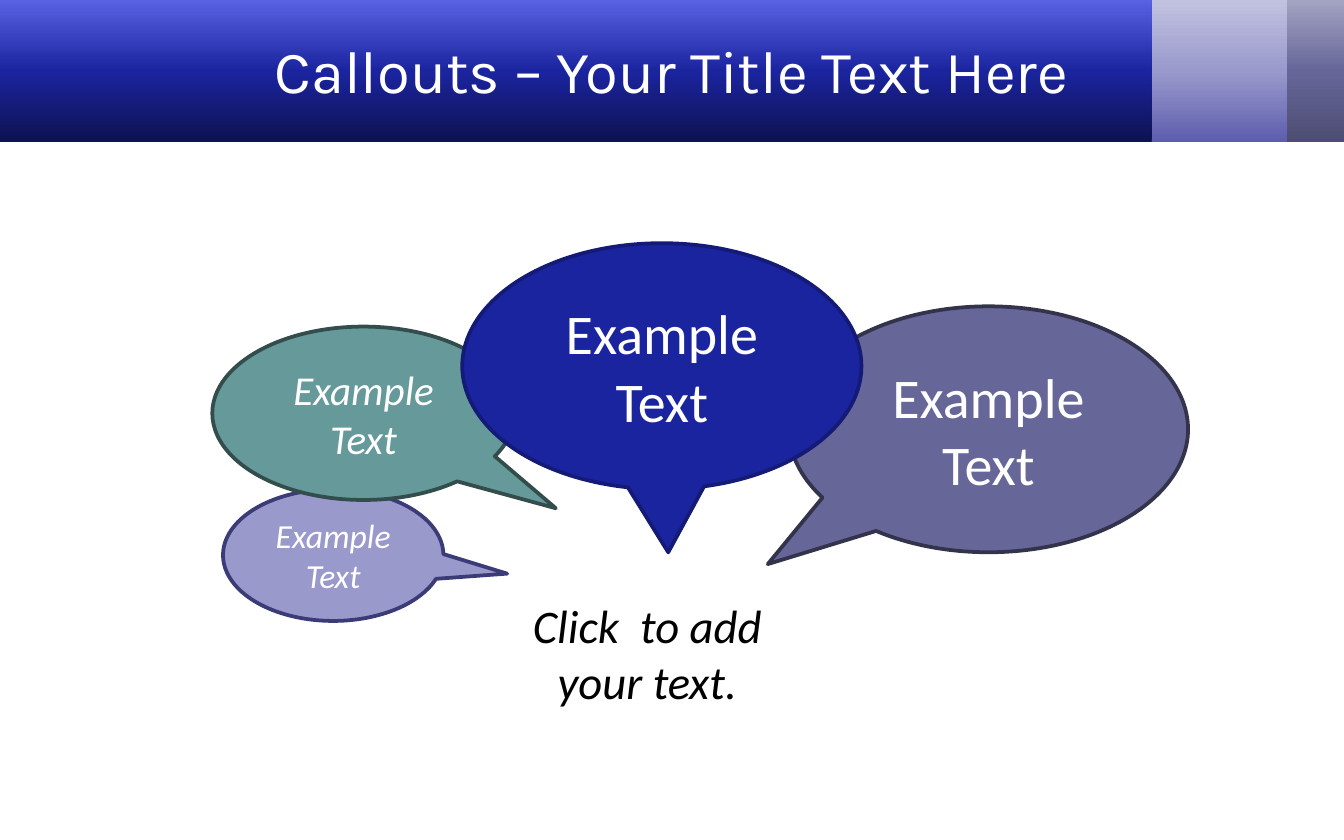
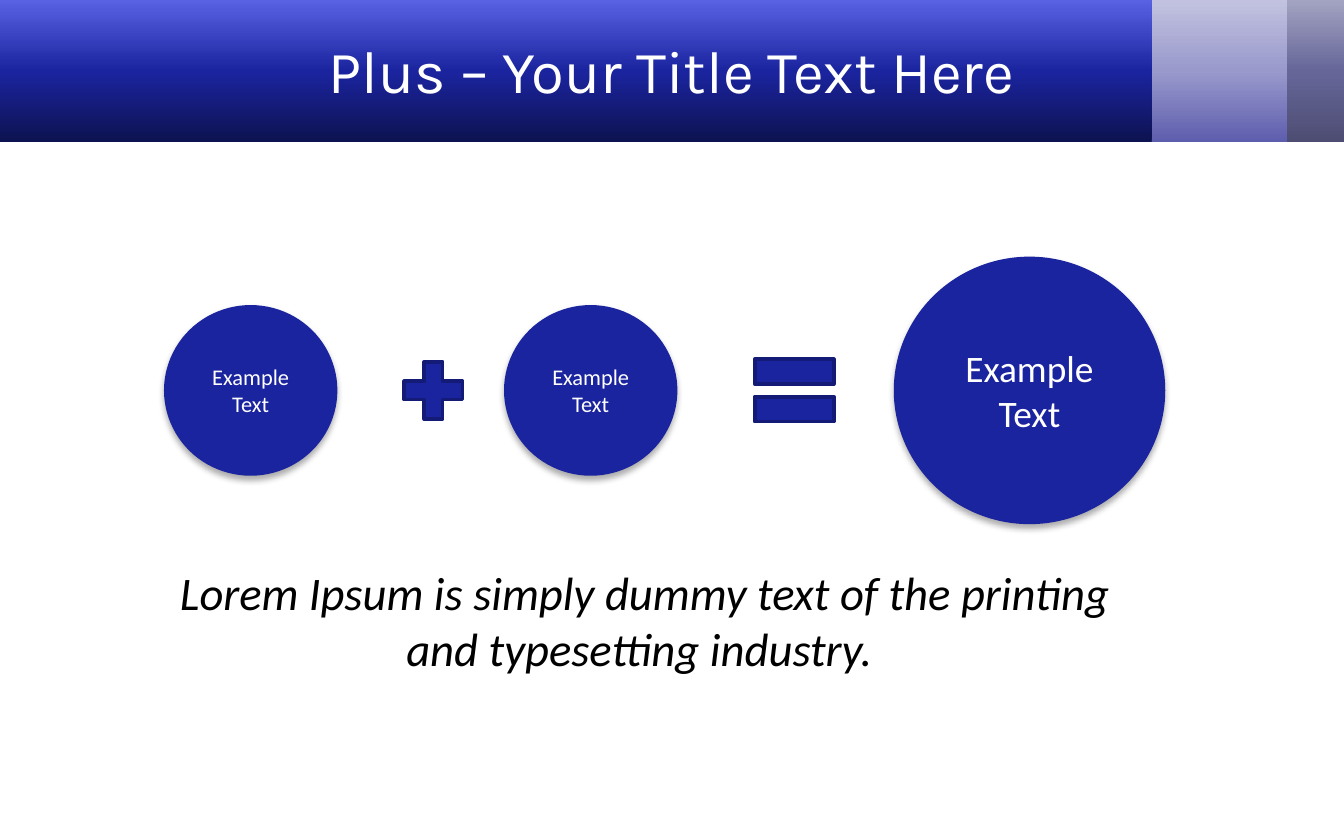
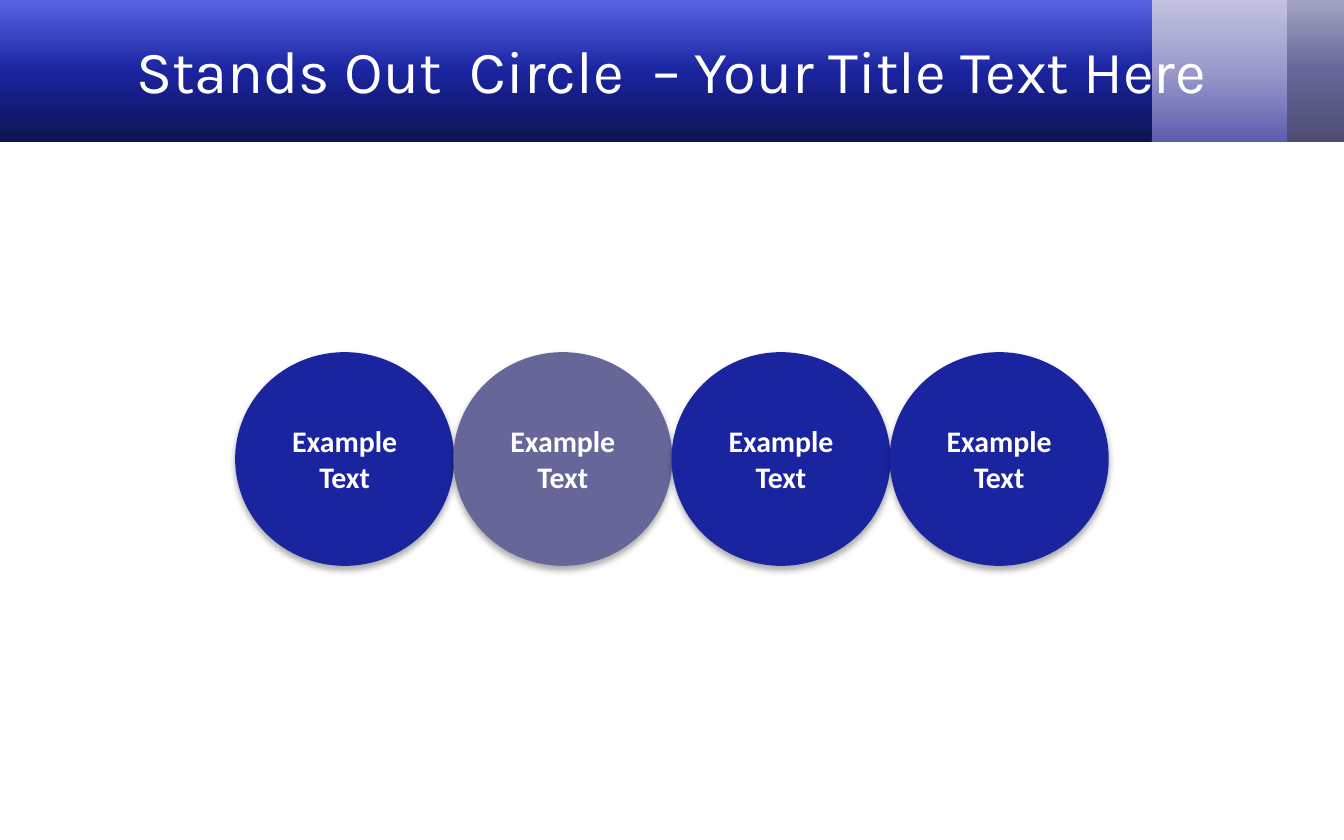
from collections import namedtuple

from pptx import Presentation
from pptx.dml.color import RGBColor
from pptx.enum.shapes import MSO_SHAPE
from pptx.enum.text import MSO_ANCHOR, MSO_AUTO_SIZE, PP_ALIGN
from pptx.oxml import parse_xml
from pptx.oxml.ns import nsdecls, qn
from pptx.util import Inches, Pt

Box = namedtuple("Box", "left top width height")

COLORS = {
    "white": "FFFFFF",
    "black": "000000",
    "blue": "1B249F",
    "blue_edge": "141B76",
    "slate": "666699",
    "slate_edge": "33334C",
    "lilac": "9999CC",
    "lilac_edge": "3B3B77",
    "teal": "669999",
    "teal_edge": "334C4C",
}
# Each band: left, width and gradient from bottom to top, back to front
HEADER_BANDS = [
    (9.43, 0.58, ("4D4D73", COLORS["slate"], "A3A3C2")),
    (8.53, 1.05, ("5D5DAE", COLORS["lilac"], "C2C2E0")),
    (0, 8.57, ("0D1250", COLORS["blue"], "5962E3")),
]
HEADER_HEIGHT = 1.06
TITLE_BOX = Box(0.5, 0.08, 9, 0.88)
TITLE_FONT, BODY_FONT = "Karla", "Calibri"
EXAMPLE = "Example Text"


def rgb(name):
    return RGBColor.from_string(COLORS[name])


def inches(box):
    return [Inches(length) for length in box]


def write(shape, text, size, color="white", font=BODY_FONT, bold=False, italic=False):
    """Put one centred paragraph into a shape."""
    frame = shape.text_frame
    frame.text = text
    frame.word_wrap = True
    paragraph = frame.paragraphs[0]
    paragraph.alignment = PP_ALIGN.CENTER
    run_font = paragraph.runs[0].font
    run_font.name, run_font.size = font, Pt(size)
    run_font.bold, run_font.italic = bold, italic
    run_font.color.rgb = rgb(color)


def add_filled(shapes, kind, box, fill, edge=None):
    shape = shapes.add_shape(kind, *inches(box))
    shape.shadow.inherit = False
    shape.fill.solid()
    shape.fill.fore_color.rgb = rgb(fill)
    if edge:
        shape.line.color.rgb = rgb(edge)
        shape.line.width = Pt(2)
    else:
        shape.line.fill.background()
    shape.text_frame.vertical_anchor = MSO_ANCHOR.MIDDLE
    return shape


def add_circle(shapes, box, size, fill="blue", bold=False):
    """Circle with a label and a soft shadow below."""
    circle = add_filled(shapes, MSO_SHAPE.OVAL, box, fill)
    write(circle, EXAMPLE, size, bold=bold)
    circle.element.spPr.find(qn("a:effectLst")).append(parse_xml(
        f'<a:outerShdw {nsdecls("a")} blurRad="{Pt(3.5)}" dist="{Pt(2.2)}" '
        f'dir="5400000" rotWithShape="0"><a:srgbClr val="{COLORS["black"]}">'
        '<a:alpha val="32000"/></a:srgbClr></a:outerShdw>'))


def add_caption(slide, box, text):
    caption = slide.shapes.add_textbox(*inches(box))
    write(caption, text, 25, color="black", italic=True)
    caption.text_frame.auto_size = MSO_AUTO_SIZE.SHAPE_TO_FIT_TEXT


def add_header_bands(slide):
    """Draw the gradient bands and hand them to the layout all slides share."""
    layout_tree = slide.slide_layout.shapes.element
    for index, (left, width, stops) in enumerate(HEADER_BANDS):
        band = slide.shapes.add_shape(
            MSO_SHAPE.RECTANGLE, *inches(Box(left, 0, width, HEADER_HEIGHT)))
        band.shadow.inherit = False
        band.line.fill.background()
        band.fill.background()
        stop_xml = "".join(
            f'<a:gs pos="{position * 50000}"><a:srgbClr val="{color}"/></a:gs>'
            for position, color in enumerate(stops))
        gradient = parse_xml(
            f'<a:gradFill {nsdecls("a")} rotWithShape="1"><a:gsLst>{stop_xml}</a:gsLst>'
            '<a:lin ang="16200000" scaled="0"/></a:gradFill>')
        properties = band.element.spPr
        properties.replace(properties.find(qn("a:noFill")), gradient)
        layout_tree.insert(2 + index, band.element)


def add_titled_slide(presentation, text):
    slide = presentation.slides.add_slide(presentation.slide_layouts[5])
    title = slide.shapes.title
    title.left, title.top, title.width, title.height = inches(TITLE_BOX)
    write(title, text, 32, font=TITLE_FONT)
    title.text_frame.vertical_anchor = MSO_ANCHOR.MIDDLE
    title.text_frame.auto_size = MSO_AUTO_SIZE.NONE
    return slide


def draw_callouts(slide, box):
    # Offset in the box, size, pointer tip, colour, text size, italic
    callouts = [
        (4.29, 0.47, 2.97, 1.83, (-0.553, 0.548), "slate", 30, False),
        (0.08, 1.83, 1.64, 0.98, (0.789, 0.141), "lilac", 18, True),
        (0, 0.62, 2.25, 1.29, (0.636, 0.548), "teal", 22, True),
        (1.86, 0, 2.97, 1.83, (0.016, 0.757), "blue", 30, False),
    ]
    for x, y, width, height, tip, color, size, italic in callouts:
        place = Box(box.left + x, box.top + y, width, height)
        callout = add_filled(
            slide.shapes, MSO_SHAPE.OVAL_CALLOUT, place, color, f"{color}_edge")
        callout.adjustments[0], callout.adjustments[1] = tip
        write(callout, EXAMPLE, size, italic=italic)
    add_caption(slide, Box(box.left + 2.09, box.top + 2.58, 2.29, 0.94),
                "Click  to add your text.")


def draw_sum(slide, box):
    row_height = 1.99

    def on_axis(x, width, height):
        return Box(box.left + x, box.top + (row_height - height) / 2, width, height)

    # Operators and terms share one horizontal axis
    for kind, place in [(MSO_SHAPE.MATH_PLUS, on_axis(1.76, 0.59, 0.58)),
                        (MSO_SHAPE.MATH_EQUAL, on_axis(4.34, 0.8, 0.79))]:
        add_filled(slide.shapes, kind, place, "blue", "blue_edge")
    for x, width, height, size in [(0.05, 1.29, 1.27, 12), (2.58, 1.29, 1.27, 12),
                                   (5.48, 2.02, row_height, 20)]:
        add_circle(slide.shapes, on_axis(x, width, height), size)
    add_caption(
        slide, Box(box.left, box.top + 2.24, 7.25, 0.94),
        "Lorem Ipsum is simply dummy text of the printing and typesetting industry. ")


def draw_circle_row(slide, box):
    group = slide.shapes.add_group_shape()
    fills = ["blue", "slate", "blue", "blue"]
    diameter = 1.63
    pitch = (box.width - diameter) / (len(fills) - 1)
    for index, fill in enumerate(fills):
        place = Box(box.left + index * pitch, box.top, diameter, box.height)
        add_circle(group.shapes, place, 16, fill, bold=True)


def main():
    presentation = Presentation()
    presentation.slide_width, presentation.slide_height = Inches(10), Inches(6.25)

    slides = [
        ("Callouts – Your Title Text Here", draw_callouts, Box(1.58, 1.81, 7.26, 3.52)),
        ("Plus – Your Title Text Here", draw_sum, Box(1.17, 1.91, 7.5, 3.18)),
        ("Stands Out  Circle  – Your Title Text Here", draw_circle_row,
         Box(1.75, 2.62, 6.5, 1.59)),
    ]
    for index, (title, draw, box) in enumerate(slides):
        slide = add_titled_slide(presentation, title)
        if index == 0:
            add_header_bands(slide)
        draw(slide, box)

    presentation.save("out.pptx")


if __name__ == "__main__":
    main()
